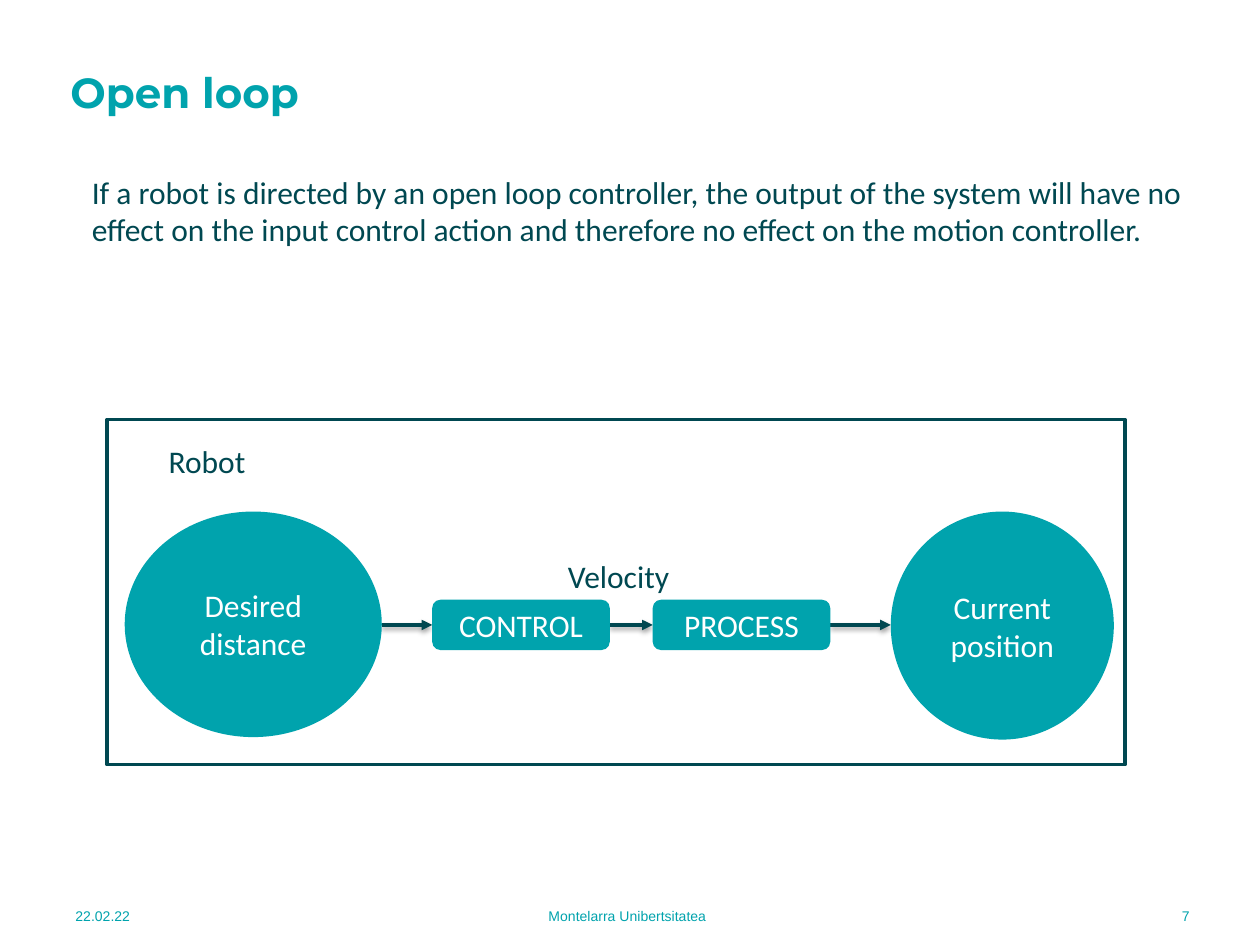
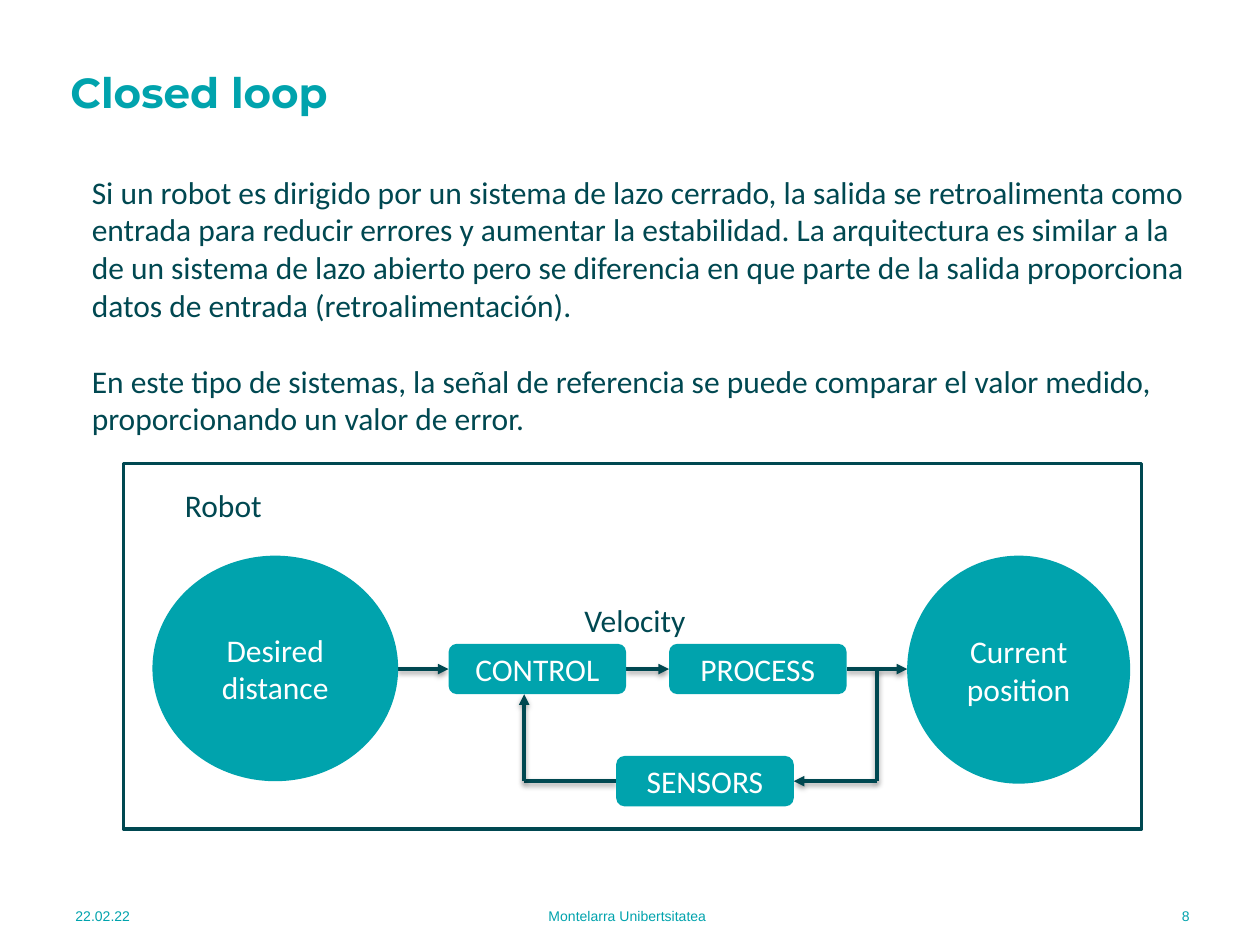
from dataclasses import dataclass
from typing import NamedTuple

from lxml.etree import SubElement
from pptx import Presentation
from pptx.dml.color import RGBColor
from pptx.enum.shapes import MSO_CONNECTOR as Line, MSO_SHAPE as Shape
from pptx.enum.text import MSO_ANCHOR as Anchor, PP_ALIGN as Align
from pptx.oxml.ns import qn
from pptx.slide import Slide
from pptx.text.text import TextFrame
from pptx.util import Pt

PX = 9144  # EMU per px, 100 px to the inch
SLIDE_W, SLIDE_H = 1000, 750

TEAL = RGBColor(0x00, 0xA3, 0xAD)
DARK = RGBColor(0x00, 0x48, 0x51)
WHITE = RGBColor(0xFF, 0xFF, 0xFF)


class Style(NamedTuple):
    font: dict
    color: RGBColor
    paragraph: dict
    anchor: Anchor


BODY_FONT = {"name": "Calibri", "size": Pt(18)}
FOOTER_FONT = {"name": "Arial", "size": Pt(8)}
TITLE = Style({"name": "Montserrat", "size": Pt(24), "bold": True}, TEAL,
              {"line_spacing": 0.9}, Anchor.MIDDLE)
BODY = Style(BODY_FONT, DARK, {}, Anchor.TOP)
NODE = Style(BODY_FONT, WHITE, {"alignment": Align.CENTER}, Anchor.MIDDLE)
PARAGRAPH_GAP = Pt(21.6)


def footer_style(align: Align) -> Style:
    return Style(FOOTER_FONT, TEAL,
                 {"alignment": align, "space_after": Pt(6)}, Anchor.MIDDLE)


class Box(NamedTuple):
    left: int
    top: int
    width: int
    height: int

    def moved(self, dx: int, dy: int) -> "Box":
        return Box(self.left + dx, self.top + dy, self.width, self.height)

    def emu(self) -> list[int]:
        return [length * PX for length in self]


@dataclass(frozen=True)
class Node:
    """A filled step of the control loop."""
    text: str
    outline: Shape
    box: Box


@dataclass(frozen=True)
class Flow:
    """A straight signal line, with an arrowhead at its end if asked for."""
    start: tuple[int, int]
    end: tuple[int, int]
    arrow: bool = True


@dataclass(frozen=True)
class Loop:
    title: str
    number: int
    body: tuple[str, ...]
    body_height: int
    shift: tuple[int, int]  # of the diagram
    frame_height: int
    desired_width: int
    nodes: tuple[Node, ...] = ()
    flows: tuple[Flow, ...] = ()


# Diagram parts that both loops share
FRAME_LEFT, FRAME_TOP, FRAME_W = 85, 333, 808
STEP_W, STEP_H = 141, 40
AXIS = 496
DESIRED_RIGHT, CONTROL, PROCESS, CURRENT = 303, 343, 518, 707
ROBOT = Box(124, 346, 170, 40)
VELOCITY = Box(441, 437, 170, 40)


def step(text: str, left: int, axis: int) -> Node:
    return Node(text, Shape.ROUNDED_RECTANGLE,
                Box(left, axis - STEP_H // 2, STEP_W, STEP_H))


SHARED_NODES = (
    step("CONTROL", CONTROL, AXIS),
    step("PROCESS", PROCESS, AXIS),
    Node("Current position", Shape.OVAL, Box(CURRENT, 406, 177, 181)),
)
SHARED_FLOWS = tuple(
    Flow((start, AXIS), (end, AXIS))
    for start, end in ((DESIRED_RIGHT, CONTROL), (CONTROL + STEP_W, PROCESS),
                       (PROCESS + STEP_W, CURRENT)))

# Feedback branch of the closed loop
SENSORS, FEEDBACK_AXIS = 476, 585
OUTPUT_TAP, CONTROL_INPUT = 683, 403
FEEDBACK = (
    Flow((OUTPUT_TAP, AXIS), (OUTPUT_TAP, FEEDBACK_AXIS), arrow=False),
    Flow((OUTPUT_TAP, FEEDBACK_AXIS), (SENSORS + STEP_W, FEEDBACK_AXIS)),
    Flow((SENSORS, FEEDBACK_AXIS), (CONTROL_INPUT, FEEDBACK_AXIS), arrow=False),
    Flow((CONTROL_INPUT, FEEDBACK_AXIS), (CONTROL_INPUT, AXIS + STEP_H // 2)),
)

LOOPS = (
    Loop("Open loop", 7, (
        "If a robot is directed by an open loop controller, the output of the "
        "system will have no effect on the input control action and therefore "
        "no effect on the motion controller.",
    ), 71, (0, 0), 274, 204),
    Loop("Closed loop", 8, (
        "Si un robot es dirigido por un sistema de lazo cerrado, la salida se "
        "retroalimenta como entrada para reducir errores y aumentar la "
        "estabilidad. La arquitectura es similar a la de un sistema de lazo "
        "abierto pero se diferencia en que parte de la salida proporciona "
        "datos de entrada (retroalimentación).",
        "En este tipo de sistemas, la señal de referencia se puede comparar el "
        "valor medido, proporcionando un valor de error.",
    ), 222, (13, 35), 290, 195,
        (step("SENSORS", SENSORS, FEEDBACK_AXIS),), FEEDBACK),
)


def write(frame: TextFrame, paragraphs: tuple[str, ...], style: Style) -> None:
    frame.word_wrap = True
    frame.vertical_anchor = style.anchor
    for index, text in enumerate(paragraphs):
        paragraph = frame.add_paragraph() if index else frame.paragraphs[0]
        for name, value in style.paragraph.items():
            setattr(paragraph, name, value)
        if index:
            paragraph.space_before = PARAGRAPH_GAP
        run = paragraph.add_run()
        run.text = text
        for name, value in style.font.items():
            setattr(run.font, name, value)
        run.font.color.rgb = style.color


def add_text(slide: Slide, box: Box, style: Style, *paragraphs: str) -> None:
    write(slide.shapes.add_textbox(*box.emu()).text_frame, paragraphs, style)


def add_frame(slide: Slide, box: Box) -> None:
    frame = slide.shapes.add_shape(Shape.RECTANGLE, *box.emu())
    frame.shadow.inherit = False
    frame.fill.solid()
    frame.fill.fore_color.rgb = WHITE
    frame.line.color.rgb = DARK
    frame.line.width = Pt(2)


def add_node(slide: Slide, node: Node, shift: tuple[int, int]) -> None:
    shape = slide.shapes.add_shape(node.outline, *node.box.moved(*shift).emu())
    shape.shadow.inherit = False
    shape.fill.solid()
    shape.fill.fore_color.rgb = TEAL
    shape.line.fill.background()
    write(shape.text_frame, (node.text,), NODE)


def add_flow(slide: Slide, flow: Flow, shift: tuple[int, int]) -> None:
    ends = [(value + delta) * PX for point in (flow.start, flow.end)
            for value, delta in zip(point, shift)]
    signal = slide.shapes.add_connector(Line.STRAIGHT, *ends)
    signal.line.color.rgb = DARK
    signal.line.width = Pt(2)
    if flow.arrow:
        SubElement(signal.line._get_or_add_ln(), qn("a:tailEnd"), type="triangle")
    # Soft shadow straight below the line
    effects = SubElement(signal._element.spPr, qn("a:effectLst"))
    shadow = SubElement(effects, qn("a:outerShdw"), blurRad=str(Pt(3.1)),
                        dist=str(Pt(1.6)), dir="5400000", rotWithShape="0")
    black = SubElement(shadow, qn("a:srgbClr"), val="000000")
    SubElement(black, qn("a:alpha"), val="38000")


def add_footer(slide: Slide, number: int) -> None:
    for text, left, width, align in (
            ("22.02.22", 50, 129, Align.LEFT),
            ("Montelarra Unibertsitatea", 237, 522, Align.CENTER),
            (str(number), 826, 128, Align.RIGHT)):
        add_text(slide, Box(left, 707, width, 40), footer_style(align), text)


def add_diagram(slide: Slide, loop: Loop) -> None:
    frame = Box(FRAME_LEFT, FRAME_TOP, FRAME_W, loop.frame_height)
    add_frame(slide, frame.moved(*loop.shift))
    for flow in SHARED_FLOWS + loop.flows:
        add_flow(slide, flow, loop.shift)
    desired = Node("Desired distance", Shape.OVAL,
                   Box(DESIRED_RIGHT - loop.desired_width, 406,
                       loop.desired_width, 179))
    for node in (desired, *SHARED_NODES, *loop.nodes):
        add_node(slide, node, loop.shift)
    for text, box in (("Robot", ROBOT), ("Velocity", VELOCITY)):
        add_text(slide, box.moved(*loop.shift), BODY, text)


def main() -> None:
    deck = Presentation()
    deck.slide_width, deck.slide_height = SLIDE_W * PX, SLIDE_H * PX
    blank = deck.slide_layouts[6]
    for loop in LOOPS:
        slide = deck.slides.add_slide(blank)
        add_footer(slide, loop.number)
        add_text(slide, Box(46, 52, 838, 47), TITLE, loop.title)
        add_text(slide, Box(63, 132, 891, loop.body_height), BODY, *loop.body)
        add_diagram(slide, loop)
    deck.save("out.pptx")


if __name__ == "__main__":
    main()
